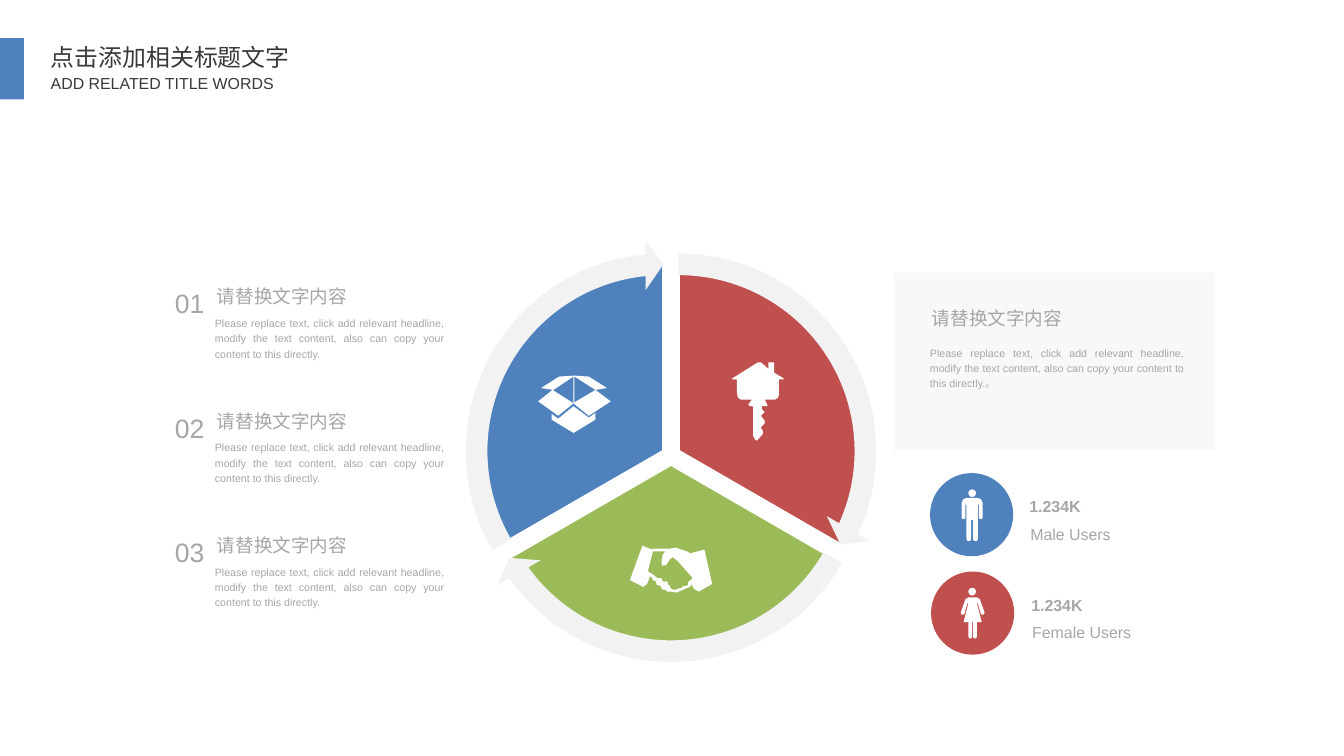
from lxml.etree import SubElement
from pptx import Presentation
from pptx.dml.color import RGBColor
from pptx.enum.shapes import MSO_SHAPE as SHAPE
from pptx.enum.text import MSO_ANCHOR as ANCHOR, MSO_AUTO_SIZE as AUTO_SIZE, PP_ALIGN as ALIGN
from pptx.oxml.ns import qn
from pptx.util import Inches, Pt

BLUE = RGBColor(0x4F, 0x81, 0xBD)
RED = RGBColor(0xC0, 0x50, 0x4D)
GREEN = RGBColor(0x9B, 0xBB, 0x59)
PALE = RGBColor(0xF2, 0xF2, 0xF2)
GRAY = RGBColor(0xA6, 0xA6, 0xA6)
DARK = RGBColor(0x3B, 0x38, 0x38)
WHITE = RGBColor(0xFF, 0xFF, 0xFF)

HEADING = "请替换文字内容"
BODY = ("Please replace text, click add relevant headline, modify the text content, "
        "also can copy your content to this directly.")

prs = Presentation()
prs.slide_width, prs.slide_height = Inches(14.06), Inches(7.91)
slide = prs.slides.add_slide(prs.slide_layouts[5])
shapes = slide.shapes


def paint(shape, color):
    shape.shadow.inherit = False
    shape.fill.solid()
    shape.fill.fore_color.rgb = color
    shape.line.fill.background()
    return shape


def write(box, left, top, width, height, text, size, color=GRAY, font="Arial",
          align=ALIGN.LEFT, spacing=1.2, wrap=False, bold=False, inset=0.1):
    box.left, box.top, box.width, box.height = map(Inches, (left, top, width, height))
    frame = box.text_frame
    frame.word_wrap = wrap
    frame.auto_size = AUTO_SIZE.NONE
    frame.vertical_anchor = ANCHOR.TOP
    frame.margin_left = frame.margin_right = Inches(inset)
    paragraph = frame.paragraphs[0]
    paragraph.alignment = align
    paragraph.line_spacing = spacing
    run = paragraph.add_run()
    run.text = text
    run.font.size = Pt(size)
    run.font.name = font
    run.font.bold = bold
    run.font.color.rgb = color


paint(shapes.add_shape(SHAPE.RECTANGLE, 0, Inches(0.4), Inches(0.25), Inches(0.64)), BLUE)
write(shapes.title, 0.42, 0.4, 3, 0.41, "点击添加相关标题文字", 18, DARK,
      "Noto Sans CJK SC", spacing=1.0, wrap=True, inset=0.11)
write(shapes.add_textbox(0, 0, 0, 0), 0.42, 0.72, 2.55, 0.31, "ADD RELATED TITLE WORDS", 12,
      DARK, spacing=1.0, inset=0.11)

for row, number in enumerate(("01", "02", "03")):
    top = 2.89 + 1.3 * row
    for left, drop, width, height, text, size, align, wrap in (
        (1.73, 0, 0.51, 0.43, number, 20, ALIGN.JUSTIFY, False),
        (2.17, 0, 1.61, 0.33, HEADING, 14, ALIGN.LEFT, False),
        (2.15, 0.35, 2.6, 0.55, BODY, 8, ALIGN.JUSTIFY, True),
    ):
        write(shapes.add_textbox(0, 0, 0, 0), left, top + drop, width, height, text, size,
              align=align, wrap=wrap)

PIE_SIZE, ARROW_SIZE = 3.94, 4.43
sectors = (
    (7.1, 4.72, RED, 162, 18, 14.73),
    (7.02, 4.86, GREEN, 18, 90, 86.72),
    (6.94, 4.72, BLUE, 90, 162, 158.73),
)
for center_x, center_y, color, start, end, tip in sectors:
    sector = paint(shapes.add_shape(
        SHAPE.PIE, Inches(center_x - PIE_SIZE / 2), Inches(center_y - PIE_SIZE / 2),
        Inches(PIE_SIZE), Inches(PIE_SIZE)), color)
    sector.adjustments[0], sector.adjustments[1] = start, end
    sector.line.color.rgb = WHITE
    sector.line.width = Pt(2)

for center_x, center_y, color, start, end, tip in sectors:
    arrow = paint(shapes.add_shape(
        SHAPE.CIRCULAR_ARROW, Inches(center_x - ARROW_SIZE / 2),
        Inches(center_y - ARROW_SIZE / 2), Inches(ARROW_SIZE), Inches(ARROW_SIZE)), PALE)
    for index, value in enumerate((0.051, 3.275, tip, start, 0.059)):
        arrow.adjustments[index] = value

handshake = [
    [(737, 575), (722, 579), (719, 577), (707, 573), (701, 574), (684, 574), (682, 575),
     (672, 571), (659, 607), (673, 614), (677, 611), (680, 603), (682, 604), (683, 607),
     (686, 608), (687, 612), (691, 613), (693, 617), (696, 617), (698, 619), (703, 619),
     (708, 620), (710, 619), (717, 616), (722, 614), (723, 611), (726, 616), (731, 619),
     (745, 611)],
    [(721, 608), (720, 609), (720, 612), (718, 613), (715, 613), (713, 615), (709, 616),
     (708, 617), (704, 617), (701, 615), (701, 613), (699, 612), (698, 608), (694, 609),
     (692, 605), (688, 605), (683, 601), (678, 598), (678, 597), (683, 577), (696, 577),
     (693, 581), (692, 589), (693, 592), (697, 591), (701, 585), (704, 583), (709, 587),
     (724, 604), (724, 606)],
]
box_lid = [[(600, 422), (616, 435), (639, 420), (623, 408), (601, 421), (601, 394), (623, 408),
            (635, 406), (616, 394), (601, 393), (585, 394), (566, 406), (579, 408), (600, 394)]]
box_flap = [[(563, 420), (584, 435), (600, 422), (578, 408)]]
box_front = [[(600, 425), (584, 438), (577, 433), (577, 439), (600, 453), (623, 439),
              (623, 432), (616, 437)]]
house_key = [[
    (771, 411), (771, 397), (766, 397), (766, 396), (793, 379), (796, 379), (804, 386),
    (804, 379), (810, 379), (810, 390), (820, 396), (819, 397), (815, 397), (815, 413),
    (814, 416), (811, 418), (800, 418), (803, 424), (802, 425), (797, 425), (797, 428),
    (800, 431), (796, 435), (800, 440), (800, 443), (796, 447), (798, 451), (798, 454),
    (792, 461), (790, 460), (788, 456), (788, 426), (787, 425), (784, 425), (783, 423),
    (786, 419), (786, 418), (775, 418), (772, 416)]]
man_left = [(1012, 521), (1008, 522), (1006, 526), (1006, 542), (1007, 543), (1009, 543),
            (1010, 542), (1010, 528), (1011, 528), (1011, 564), (1012, 566), (1015, 566),
            (1016, 564), (1016, 544)]
woman_left = [(1013, 625), (1010, 627), (1005, 641), (1006, 643), (1008, 643), (1009, 642),
              (1012, 631), (1013, 631), (1008, 651), (1013, 651), (1013, 666), (1014, 668),
              (1016, 668), (1017, 666), (1017, 651)]
man, woman = ([half + [(axis - x, y) for x, y in reversed(half)]]
              for half, axis in ((man_left, 2034), (woman_left, 2035)))

panel = paint(shapes.add_shape(SHAPE.RECTANGLE, Inches(9.35), Inches(2.85), Inches(3.36),
                               Inches(1.86)), PALE)
panel_color = panel._element.spPr.find(qn("a:solidFill"))[0]
SubElement(panel_color, qn("a:alpha")).set("val", "50000")
write(shapes.add_textbox(0, 0, 0, 0), 9.65, 3.12, 1.61, 0.33, HEADING, 14)
write(shapes.add_textbox(0, 0, 0, 0), 9.63, 3.55, 2.86, 0.55, BODY + "。", 8,
      align=ALIGN.JUSTIFY, wrap=True)

for top, shift, color, label, label_width in (
    (4.95, 0, BLUE, "Male Users", 1.04),
    (5.98, 0.01, RED, "Female Users", 1.24),
):
    for left, circle_top, size, fill in ((9.73 + shift, top, 0.87, color),
                                         (10.13, top + 0.17, 0.08, WHITE)):
        paint(shapes.add_shape(SHAPE.OVAL, Inches(left), Inches(circle_top), Inches(size),
                               Inches(size)), fill)
    write(shapes.add_textbox(0, 0, 0, 0), 10.67 + 2 * shift, top + 0.16, 0.74, 0.3, "1.234K",
          12, bold=True)
    write(shapes.add_textbox(0, 0, 0, 0), 10.68 + 2 * shift, top + 0.45, label_width, 0.3,
          label, 12)

for icon in (handshake, box_lid, box_flap, box_front, house_key, man, woman):
    outline, *holes = icon
    builder = shapes.build_freeform(*outline[0], scale=Inches(0.01))
    builder.add_line_segments(outline[1:], close=True)
    for hole in holes:
        builder.move_to(*hole[0])
        builder.add_line_segments(hole[1:], close=True)
    paint(builder.convert_to_shape(), WHITE)

prs.save("out.pptx")
